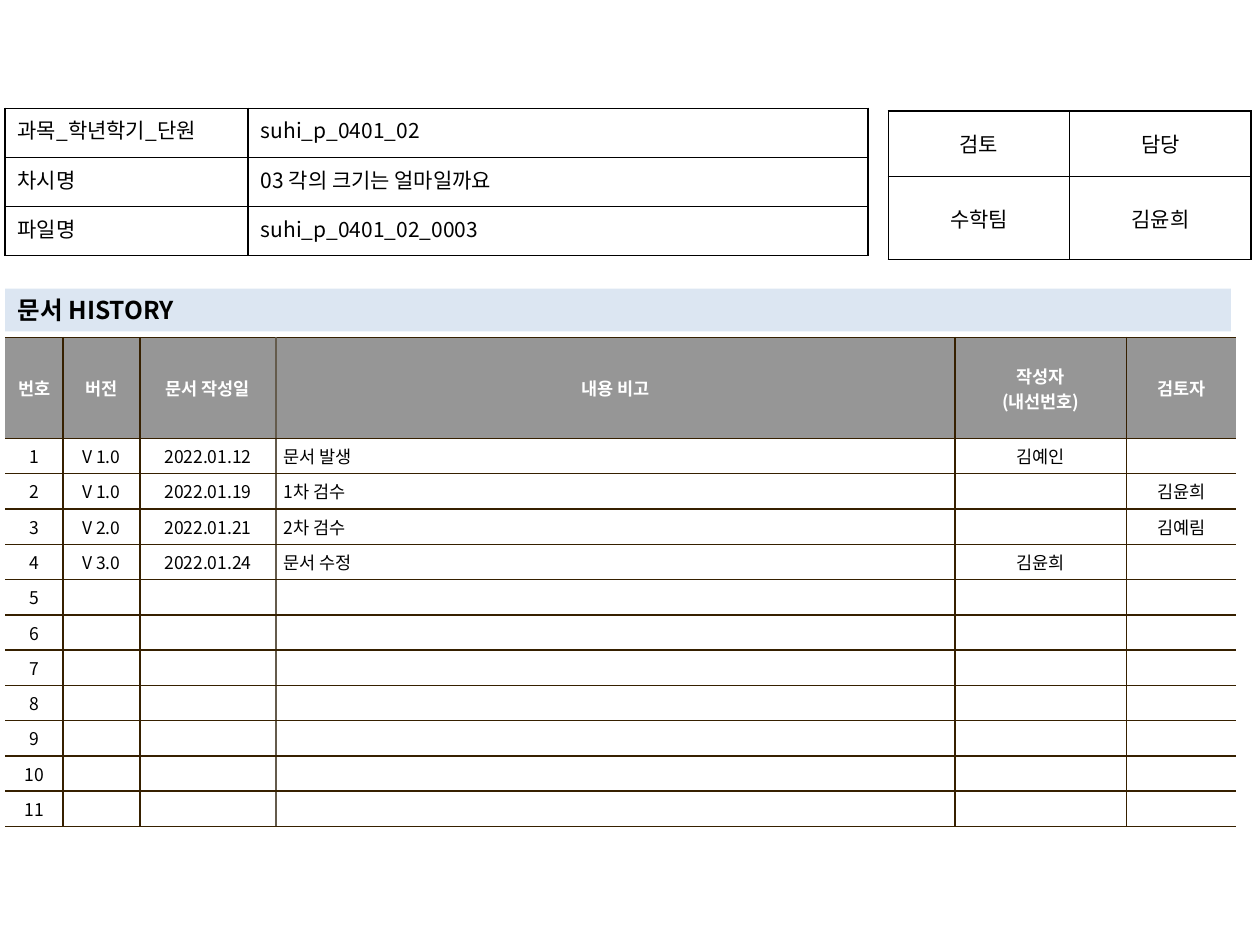
from lxml.etree import SubElement
from pptx import Presentation
from pptx.dml.color import RGBColor
from pptx.enum.text import MSO_ANCHOR as Anchor, MSO_AUTO_SIZE as AutoSize, PP_ALIGN as Align
from pptx.oxml.ns import qn
from pptx.util import Inches, Pt

FONT = "Noto Sans CJK KR"
COLORS = {"black": "000000", "white": "FFFFFF", "header": "969696",
          "band": "DCE6F2", "brown": "362000", "taupe": "645B4C"}

HEADING = "문서 HISTORY"
LESSON = [
    ("과목_학년학기_단원", "suhi_p_0401_02"),
    ("차시명", "03 각의 크기는 얼마일까요"),
    ("파일명", "suhi_p_0401_02_0003"),
]
APPROVAL = [("검토", "담당"), ("수학팀", "김윤희")]
HISTORY_HEADER = ("번호", "버전", "문서 작성일", "내용 비고", "작성자\n(내선번호)", "검토자")
REVISIONS = [
    ("V 1.0", "2022.01.12", "문서 발생", "김예인", ""),
    ("V 1.0", "2022.01.19", "1차 검수", "", "김윤희"),
    ("V 2.0", "2022.01.21", "2차 검수", "", "김예림"),
    ("V 3.0", "2022.01.24", "문서 수정", "김윤희", ""),
]
HISTORY_ROWS = 11
NOTE_COLUMN = 3

LEFT = 0.04
LESSON_COLUMNS, LESSON_HEIGHTS = (1.93, 4.92), [0.39] * 3
APPROVAL_COLUMNS, APPROVAL_HEIGHTS = (1.44, 1.44), (0.52, 0.66)
HISTORY_COLUMNS = (0.46, 0.61, 1.08, 5.39, 1.36, 0.87)
HISTORY_HEIGHTS = [0.8] + [0.28] * HISTORY_ROWS


def rgb(name):
    return RGBColor.from_string(COLORS[name])


def write(frame, text, size, color="black", bold=False, align=Align.LEFT):
    frame.text = text
    for paragraph in frame.paragraphs:
        paragraph.alignment = align
        if not paragraph.runs:  # an empty cell keeps its row low only at this size
            end = SubElement(paragraph._p, qn("a:endParaRPr"))
            end.set("sz", str(size * 100))
        for run in paragraph.runs:
            for key, value in {"size": Pt(size), "name": FONT, "bold": bold}.items():
                setattr(run.font, key, value)
            run.font.color.rgb = rgb(color)
            SubElement(run._r.get_or_add_rPr(), qn("a:ea")).set("typeface", FONT)


def set_borders(cell, sides):
    """Draw 1 pt borders; sides maps L, R, T, B to a colour name or None."""
    properties = cell._tc.get_or_add_tcPr()
    for side in "LRTB":
        line = SubElement(properties, qn(f"a:ln{side}"), w=str(Pt(1)))
        if sides[side] is None:
            SubElement(line, qn("a:noFill"))
        else:
            fill = SubElement(line, qn("a:solidFill"))
            SubElement(fill, qn("a:srgbClr"), val=COLORS[sides[side]])


def add_grid(slide, left, top, widths, heights, rows, style):
    """Add a table; style(row, column) gives the borders, fill, margins, anchor and text format."""
    table = slide.shapes.add_table(
        len(heights), len(widths), Inches(left), Inches(top),
        Inches(sum(widths)), Inches(sum(heights))).table
    table.first_row = table.horz_banding = False
    for column, width in zip(table.columns, widths):
        column.width = Inches(width)
    for r, (row, height) in enumerate(zip(rows, heights)):
        table.rows[r].height = Inches(height)
        for c, text in enumerate(row):
            cell = table.cell(r, c)
            look = style(r, c)
            set_borders(cell, look["borders"])
            cell.fill.solid()
            cell.fill.fore_color.rgb = rgb(look["fill"])
            side, end = look["margins"]
            cell.margin_left = cell.margin_right = Inches(side)
            cell.margin_top = cell.margin_bottom = Inches(end)
            cell.vertical_anchor = look["anchor"]
            write(cell.text_frame, text, **look["text"])


def form_style(anchor, aligns):
    return lambda r, c: {
        "borders": dict.fromkeys("LRTB", "black"), "fill": "white",
        "margins": (0.1, 0.05), "anchor": anchor,
        "text": {"size": 12, "align": aligns[c]}}


def history_style(r, c):
    # Vertical rules between columns; the outer sides stay open.
    rules = [None] + ["brown"] * (len(HISTORY_COLUMNS) - 1) + [None]
    rules[NOTE_COLUMN] = "taupe"
    header = r == 0
    return {
        "borders": {"L": rules[c], "R": rules[c + 1], "T": "brown", "B": "brown"},
        "fill": "header" if header else "white",
        "margins": (0.06, 0.04), "anchor": Anchor.MIDDLE,
        "text": {"size": 10, "bold": header, "color": "white" if header else "black",
                 "align": Align.LEFT if c == NOTE_COLUMN and not header else Align.CENTER}}


def add_heading(slide):
    heading = slide.shapes.title
    box = {"left": LEFT, "top": 2.29, "width": 9.73, "height": 0.34}
    for key, value in box.items():
        setattr(heading, key, Inches(value))
    heading.fill.solid()
    heading.fill.fore_color.rgb = rgb("band")
    frame = heading.text_frame
    frame.auto_size = AutoSize.NONE
    frame.vertical_anchor = Anchor.MIDDLE
    write(frame, HEADING, 14, bold=True)


def main():
    deck = Presentation()
    deck.slide_width, deck.slide_height = Inches(10), Inches(7.5)
    slide = deck.slides.add_slide(deck.slide_layouts[5])
    add_heading(slide)

    blank = ("",) * (len(HISTORY_COLUMNS) - 1)
    revisions = REVISIONS + [blank] * (HISTORY_ROWS - len(REVISIONS))
    history = [HISTORY_HEADER] + [(str(n), *row) for n, row in enumerate(revisions, 1)]
    add_grid(slide, LEFT, 2.68, HISTORY_COLUMNS, HISTORY_HEIGHTS, history, history_style)
    add_grid(slide, 7.05, 0.88, APPROVAL_COLUMNS, APPROVAL_HEIGHTS, APPROVAL,
             form_style(Anchor.MIDDLE, (Align.CENTER, Align.CENTER)))
    add_grid(slide, LEFT, 0.86, LESSON_COLUMNS, LESSON_HEIGHTS, LESSON,
             form_style(Anchor.TOP, (Align.JUSTIFY, Align.LEFT)))
    deck.save("out.pptx")


if __name__ == "__main__":
    main()
